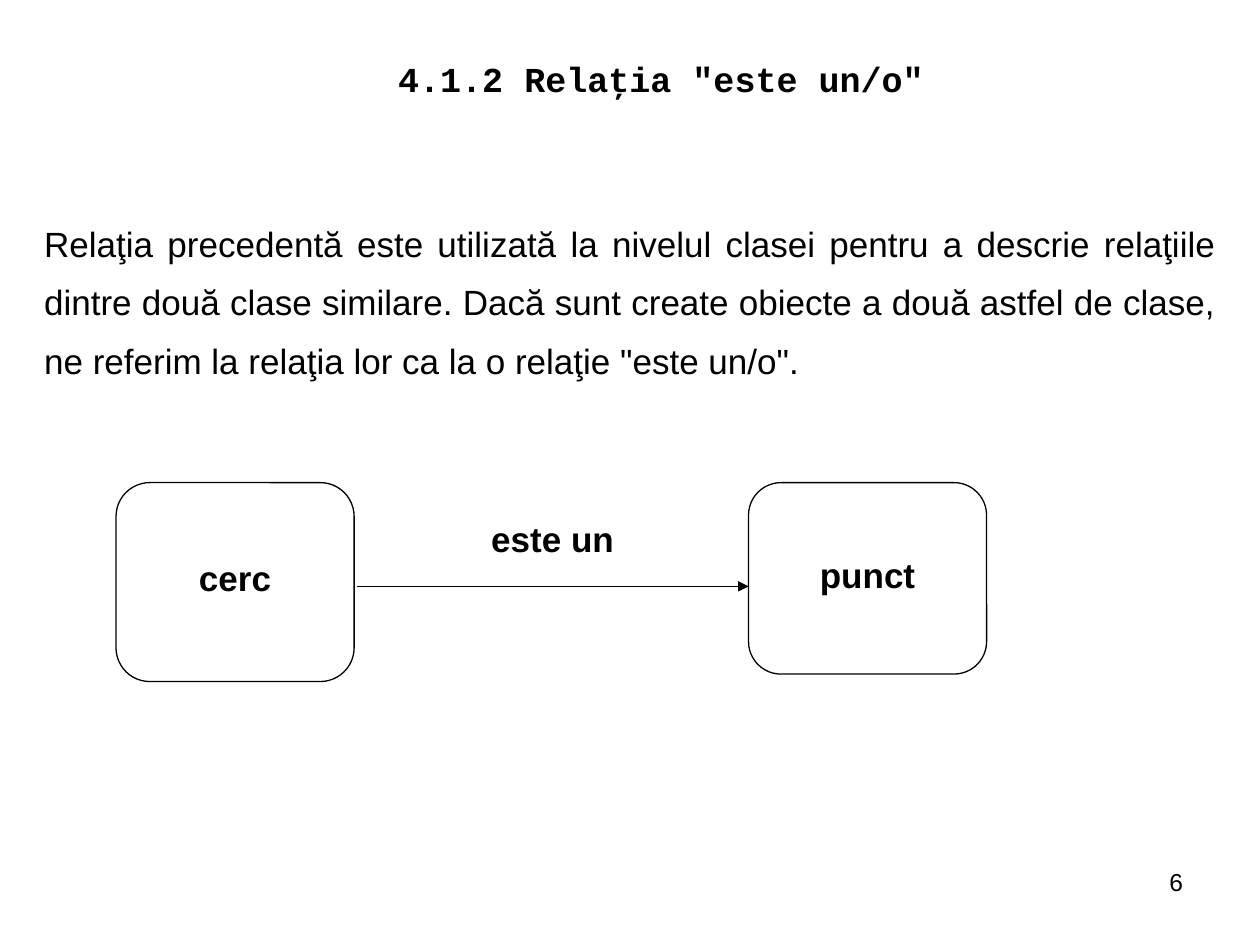
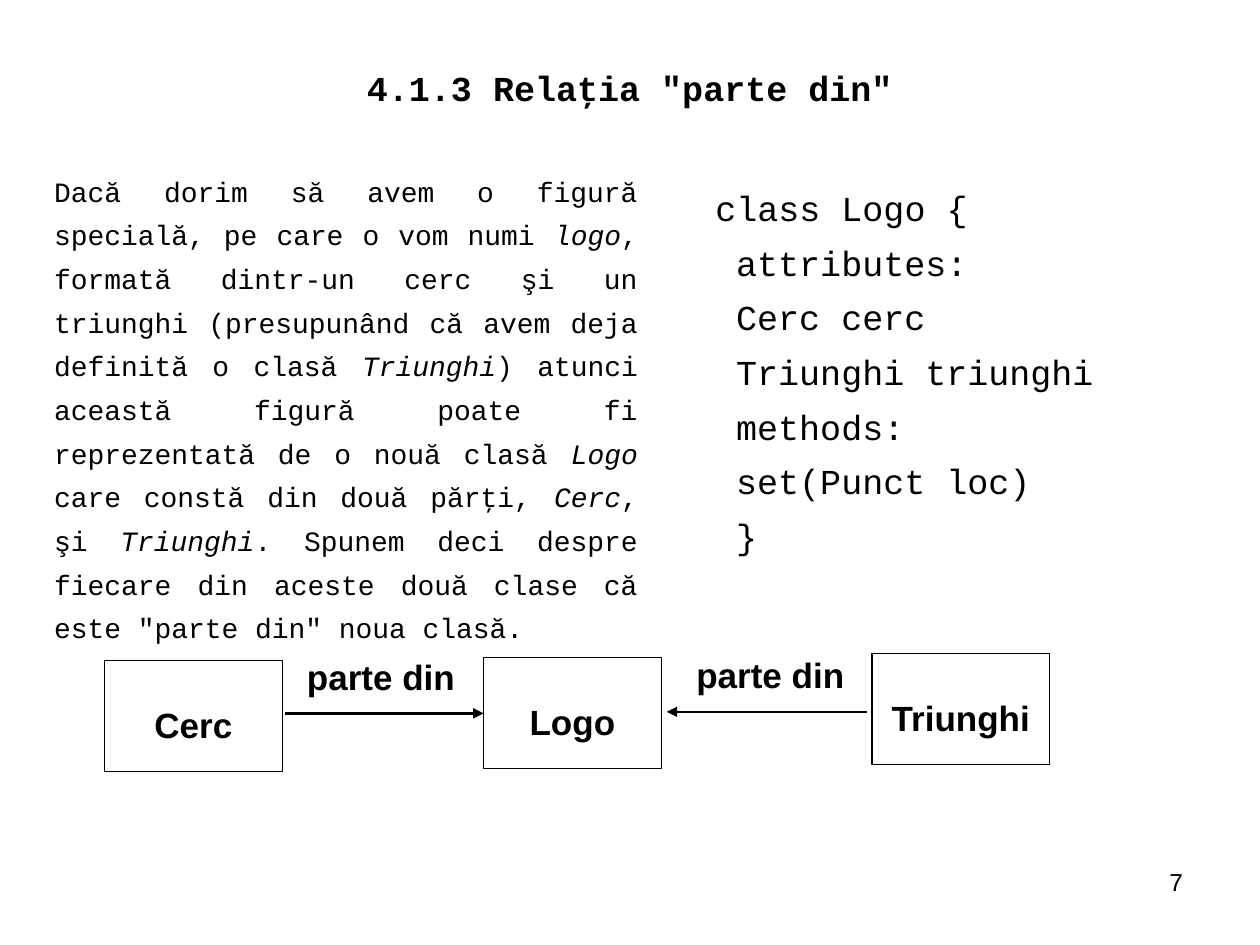
from dataclasses import dataclass

from lxml import etree
from pptx import Presentation
from pptx import util as u
from pptx.dml.color import RGBColor
from pptx.enum import shapes, text
from pptx.oxml import ns

ALIGN = text.PP_ALIGN
ANCHOR = text.MSO_ANCHOR


@dataclass(frozen=True)
class Theme:
    ink: RGBColor = RGBColor(0, 0, 0)
    paper: RGBColor = RGBColor(255, 255, 255)
    sans: str = "Arial"
    mono: str = "Courier New"
    main_size: int = 20
    prose_size: int = 16
    number_size: int = 14
    thin: float = 0.75
    thick: float = 1.5


THEME = Theme()

# Formats: "font" for runs, "para" for paragraphs, "frame" for text frames
TITLE = {
    "font": {"name": THEME.mono, "size": u.Pt(THEME.main_size), "bold": True},
    "para": {"alignment": ALIGN.CENTER},
    "frame": {"vertical_anchor": ANCHOR.BOTTOM},
}
BODY = {
    "font": {"name": THEME.sans, "size": u.Pt(THEME.main_size)},
    "para": {"alignment": ALIGN.JUSTIFY, "line_spacing": 1.4},
    "frame": {"vertical_anchor": ANCHOR.TOP},
}
PROSE = {
    "font": {"name": THEME.mono, "size": u.Pt(THEME.prose_size)},
    "para": {"alignment": ALIGN.JUSTIFY, "line_spacing": 1.3},
    "frame": {"vertical_anchor": ANCHOR.TOP},
}
CODE = {
    "font": {"name": THEME.mono, "size": u.Pt(THEME.main_size)},
    "para": {"alignment": ALIGN.LEFT, "line_spacing": 1.3},
    "frame": {"vertical_anchor": ANCHOR.TOP},
}
LABEL = {
    "font": {"name": THEME.sans, "size": u.Pt(THEME.main_size), "bold": True},
    "para": {"alignment": ALIGN.CENTER, "line_spacing": 0.78},
    "frame": {"vertical_anchor": ANCHOR.MIDDLE},
}
NUMBER = {
    "font": {"name": THEME.sans, "size": u.Pt(THEME.number_size)},
    "para": {"alignment": ALIGN.RIGHT},
    "frame": {"vertical_anchor": ANCHOR.TOP},
}
INSETS = {
    "margin_left": u.Cm(0.25), "margin_right": u.Cm(0.25),
    "margin_top": u.Cm(0.13), "margin_bottom": u.Cm(0.13),
}
FLUSH = dict.fromkeys(INSETS, 0)


def apply(target, values):
    for name, value in values.items():
        setattr(target, name, value)


def cm(values):
    return [u.Cm(value) for value in values]


class Deck:
    def __init__(self, theme):
        self.theme = theme
        self.prs = Presentation()
        apply(self.prs, {"slide_width": u.Cm(25.4), "slide_height": u.Cm(19.05)})
        self.slide = None

    def start(self, layout, number):
        self.slide = self.prs.slides.add_slide(self.prs.slide_layouts[layout])
        self.label(number, (18.21, 17.35, 5.89, 1.32), NUMBER)

    def set_text(self, frame, lines, style, **frame_extra):
        """Fill a frame; asterisks switch italics on and off."""
        apply(frame, {"word_wrap": True, "auto_size": text.MSO_AUTO_SIZE.NONE,
                      **INSETS, **style["frame"], **frame_extra})
        for index, line in enumerate(lines):
            para = frame.add_paragraph() if index else frame.paragraphs[0]
            apply(para, {"space_before": u.Pt(0), **style["para"]})
            for part, words in enumerate(line.split("*")):
                run = para.add_run()
                run.text = words
                apply(run.font, {**style["font"], "italic": part % 2 == 1})
                run.font.color.rgb = self.theme.ink

    def place(self, holder, box):
        apply(holder, dict(zip(("left", "top", "width", "height"), cm(box))))

    def title(self, words, box, **frame_extra):
        holder = self.slide.shapes.title
        self.place(holder, box)
        self.set_text(holder.text_frame, [words], TITLE, **frame_extra)

    def body(self, idx, lines, box, style, hang=0):
        """Fill a body placeholder without bullets; indent lines after the first."""
        holder = self.slide.placeholders[idx]
        self.place(holder, box)
        self.set_text(holder.text_frame, lines, style)
        for index, para in enumerate(holder.text_frame.paragraphs):
            props = para._p.get_or_add_pPr()
            props.set("marL", str(u.Cm(hang if index else 0)))
            props.set("indent", "0")
            etree.SubElement(props, ns.qn("a:buNone"))

    def label(self, words, box, style=LABEL):
        frame = self.slide.shapes.add_textbox(*cm(box)).text_frame
        self.set_text(frame, [words], style)

    def node(self, kind, words, box, **frame_extra):
        node = self.slide.shapes.add_shape(kind, *cm(box))
        node.shadow.inherit = False
        node.fill.solid()
        node.fill.fore_color.rgb = self.theme.paper
        node.line.color.rgb = self.theme.ink
        node.line.width = u.Pt(self.theme.thin)
        self.set_text(node.text_frame, [words], LABEL, **frame_extra)
        return node

    def arrow(self, start, end, width):
        arrow = self.slide.shapes.add_connector(
            shapes.MSO_CONNECTOR.STRAIGHT, *cm(start + end))
        arrow.line.color.rgb = self.theme.ink
        arrow.line.width = u.Pt(width)
        props = arrow._element.spPr
        etree.SubElement(props.get_or_add_ln(), ns.qn("a:tailEnd"), type="triangle")
        etree.SubElement(props, ns.qn("a:effectLst"))
        return arrow


def is_a_slide(deck):
    deck.start(1, "6")
    deck.title('4.1.2 Relaţia "este un/o"', (1.9, 1.09, 22.86, 0.97),
               vertical_anchor=ANCHOR.MIDDLE, **FLUSH)
    deck.body(1, [
        "Relaţia precedentă este utilizată la nivelul clasei pentru a descrie "
        "relaţiile dintre două clase similare. Dacă sunt create obiecte a două "
        "astfel de clase, ne referim la relaţia lor ca la o relaţie "
        '"este un/o".'], (0.64, 4.01, 24.13, 3.81), BODY)

    # Circle is a point
    for words, left, height in (("cerc", 2.34, 4.01), ("punct", 15.09, 3.86)):
        node = deck.node(shapes.MSO_SHAPE.ROUNDED_RECTANGLE, words,
                         (left, 9.73, 4.8, height))
        node.adjustments[0] = 0.17
    deck.arrow((7.19, 11.82), (15.09, 11.82), THEME.thin)
    deck.label("este un", (7.9, 10.11, 6.48, 1.65))


def part_of_slide(deck):
    deck.start(3, "7")
    deck.title('4.1.3 Relaţia "parte din"', (1.27, 0.84, 22.86, 1.47))
    deck.body(1, [
        "Dacă dorim să avem o figură specială, pe care o vom numi *logo*, formată "
        "dintr-un cerc şi un triunghi (presupunând că avem deja definită o clasă "
        "*Triunghi*) atunci această figură poate fi reprezentată de o nouă clasă "
        "*Logo* care constă din două părţi, *Cerc*, şi *Triunghi*. Spunem deci "
        'despre fiecare din aceste două clase că este "parte din" noua clasă.'],
        (0.84, 3.18, 12.27, 8.18), PROSE)
    deck.body(2, ["class Logo {", "attributes:", "Cerc cerc", "Triunghi triunghi",
                  "methods:", "set(Punct loc)", "}"],
              (14.17, 3.38, 8.46, 7.98), CODE, hang=0.42)

    # Two parts pointing at the whole
    classes = {}
    for words, left, top in (("Cerc", 2.11, 13.31), ("Logo", 9.75, 13.26),
                             ("Triunghi", 17.58, 13.18)):
        classes[words] = deck.node(shapes.MSO_SHAPE.RECTANGLE, words,
                                   (left, top, 3.58, 2.24), margin_top=u.Cm(0.64))
    from_cerc = deck.arrow((5.74, 14.38), (9.75, 14.38), THEME.thick)
    from_cerc.end_connect(classes["Logo"], 1)
    deck.arrow((17.48, 14.35), (13.44, 14.35), THEME.thick)
    for left, top in ((5.89, 13.18), (13.74, 13.13)):
        deck.label("parte din", (left, top, 3.58, 1.09))


def main():
    deck = Deck(THEME)
    is_a_slide(deck)
    part_of_slide(deck)
    deck.prs.save("out.pptx")


if __name__ == "__main__":
    main()
